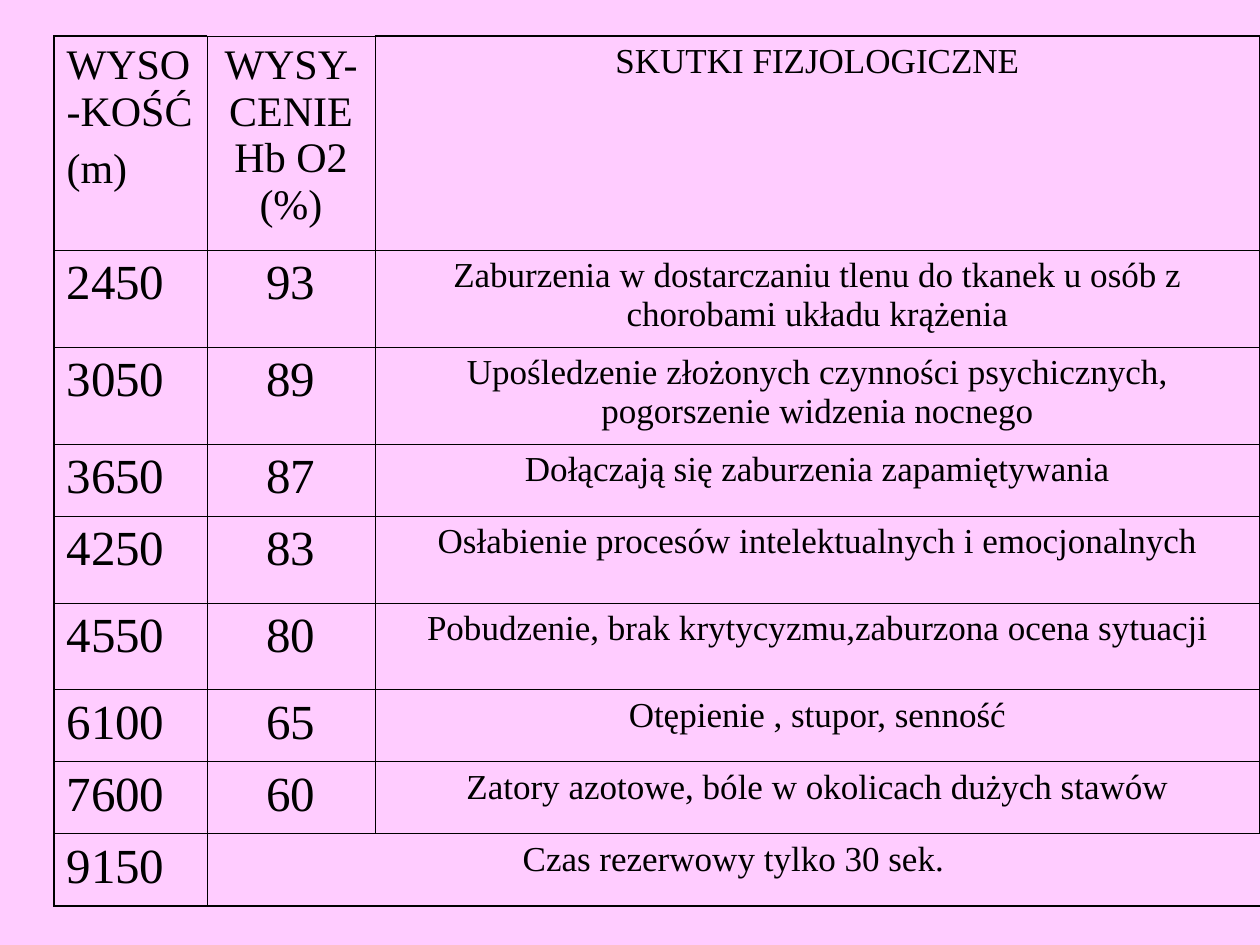
from dataclasses import dataclass
from lxml.etree import SubElement
from pptx import Presentation
from pptx.dml.color import RGBColor as Color
from pptx.enum.text import PP_ALIGN as Align
from pptx.oxml.ns import qn
from pptx.util import Emu, Pt


@dataclass(frozen=True)
class Theme:
    background: str = "FFCCFF"
    ink: str = "000000"
    face: str = "Times New Roman"
    effect_size: int = 20
    heading_size: int = 24
    number_size: int = 28
    inner_line: float = 0.45
    outer_line: float = 1.08


WIDTH, HEIGHT = 1260, 945
LEFT, TOP = 54, 36
COLUMNS = [153, 168, 885]
ROWS = [214, 97, 97, 72, 87, 87, 72, 72, 72]
HEADINGS = ("WYSO-KOŚĆ\n(m)", "WYSY-CENIE Hb O2 (%)", "SKUTKI FIZJOLOGICZNE")
LEVELS = [
    ("2450", "93", "Zaburzenia w dostarczaniu tlenu do tkanek u osób z chorobami układu krążenia"),
    ("3050", "89", "Upośledzenie złożonych czynności psychicznych, pogorszenie widzenia nocnego"),
    ("3650", "87", "Dołączają się zaburzenia zapamiętywania"),
    ("4250", "83", "Osłabienie procesów intelektualnych i emocjonalnych"),
    ("4550", "80", "Pobudzenie, brak krytycyzmu,zaburzona ocena sytuacji"),
    ("6100", "65", "Otępienie , stupor, senność"),
    ("7600", "60", "Zatory azotowe, bóle w okolicach dużych stawów"),
    ("9150", "Czas rezerwowy tylko 30 sek."),
]


def px(length):
    return Emu(round(length * 914400 / 126))


def apply(target, values):
    for name, value in values.items():
        setattr(target, name, value)


class Painter:
    """Draws styled elements on the current slide."""

    def __init__(self, page, theme):
        self.page = page
        self.theme = theme

    def background(self):
        fill = self.page.background.fill
        fill.solid()
        fill.fore_color.rgb = Color.from_string(self.theme.background)

    def table(self, left, top, columns, rows):
        frame = self.page.shapes.add_table(
            len(rows), len(columns), px(left), px(top), px(sum(columns)), px(sum(rows))
        )
        table = frame.table
        apply(table, {"first_row": False, "horz_banding": False})
        for column, width in zip(table.columns, columns):
            column.width = px(width)
        for row, height in zip(table.rows, rows):
            row.height = px(height)
        return table

    def borders(self, cell, outer_sides):
        properties = cell._tc.get_or_add_tcPr()
        for side in "LRTB":
            points = self.theme.outer_line if side in outer_sides else self.theme.inner_line
            line = SubElement(properties, qn(f"a:ln{side}"), w=str(Pt(points)))
            fill = SubElement(line, qn("a:solidFill"))
            SubElement(fill, qn("a:srgbClr"), val=self.theme.ink)
        cell.fill.background()

    def text(self, cell, words, size, align):
        box = cell.text_frame
        box.text = words
        for index, para in enumerate(box.paragraphs):
            apply(para, {"alignment": align, "space_before": Pt(6 if index else 0)})
            for span in para.runs:
                apply(span.font, {"name": self.theme.face, "size": Pt(size)})
                span.font.color.rgb = Color.from_string(self.theme.ink)


def outer_sides(row, column):
    edges = {
        "L": column == 0,
        "R": column == len(COLUMNS) - 1,
        "T": row == 0 and column != 1,
        "B": row == len(ROWS) - 1,
    }
    return {side for side, outer in edges.items() if outer}


def main():
    theme = Theme()
    deck = Presentation()
    apply(deck, {"slide_width": px(WIDTH), "slide_height": px(HEIGHT)})
    painter = Painter(deck.slides.add_slide(deck.slide_layouts[6]), theme)
    painter.background()
    table = painter.table(LEFT, TOP, COLUMNS, ROWS)

    for row in range(len(ROWS)):
        for column in range(len(COLUMNS)):
            painter.borders(table.cell(row, column), outer_sides(row, column))
    last = len(ROWS) - 1
    table.cell(last, 1).merge(table.cell(last, 2))

    for row, entries in enumerate([HEADINGS, *LEVELS]):
        lead_size = theme.number_size if row else theme.heading_size
        for column, words in enumerate(entries):
            is_effect = column == len(entries) - 1
            size = theme.effect_size if is_effect else lead_size
            align = Align.CENTER if column else Align.LEFT
            painter.text(table.cell(row, column), words, size, align)

    deck.save("out.pptx")


if __name__ == "__main__":
    main()
